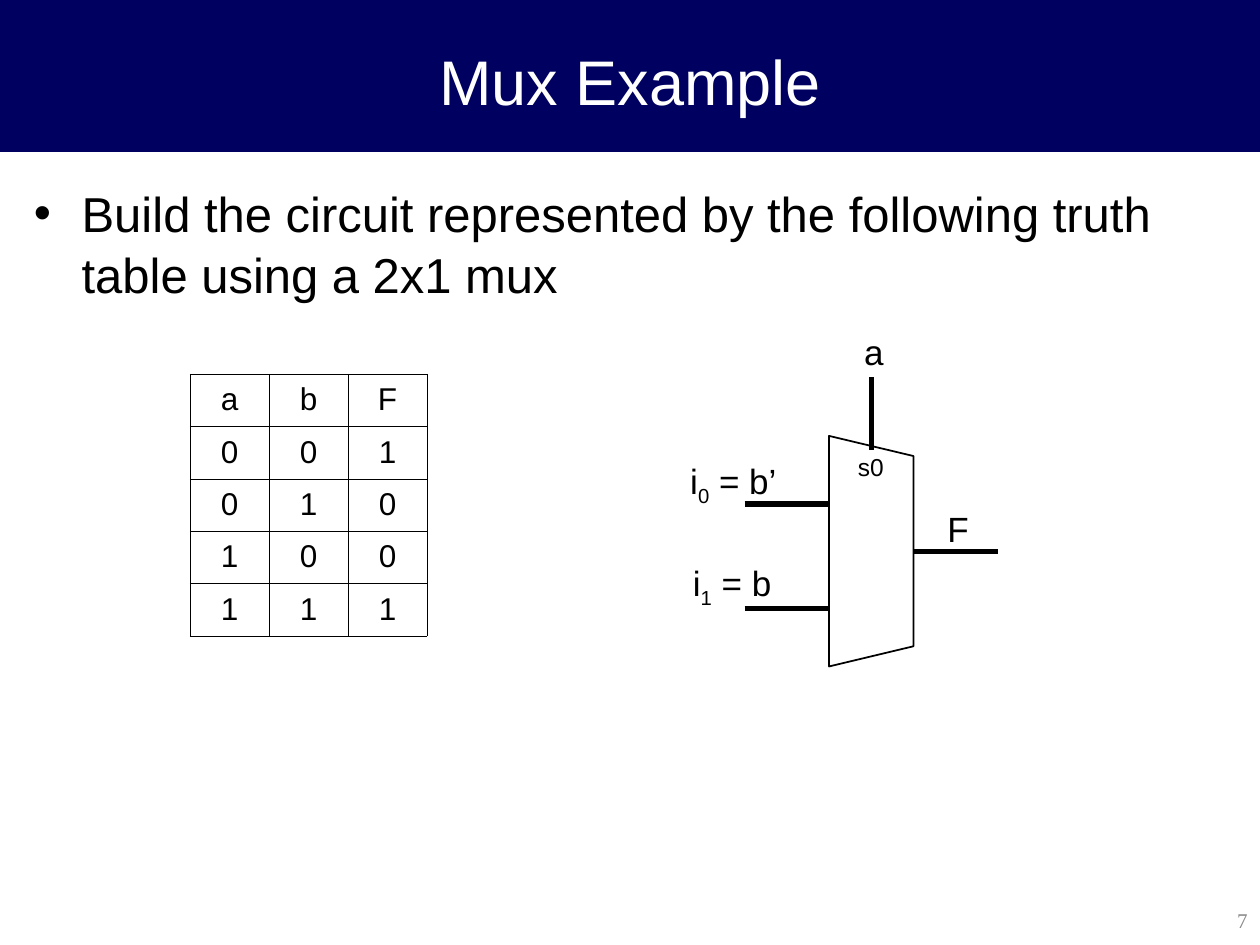
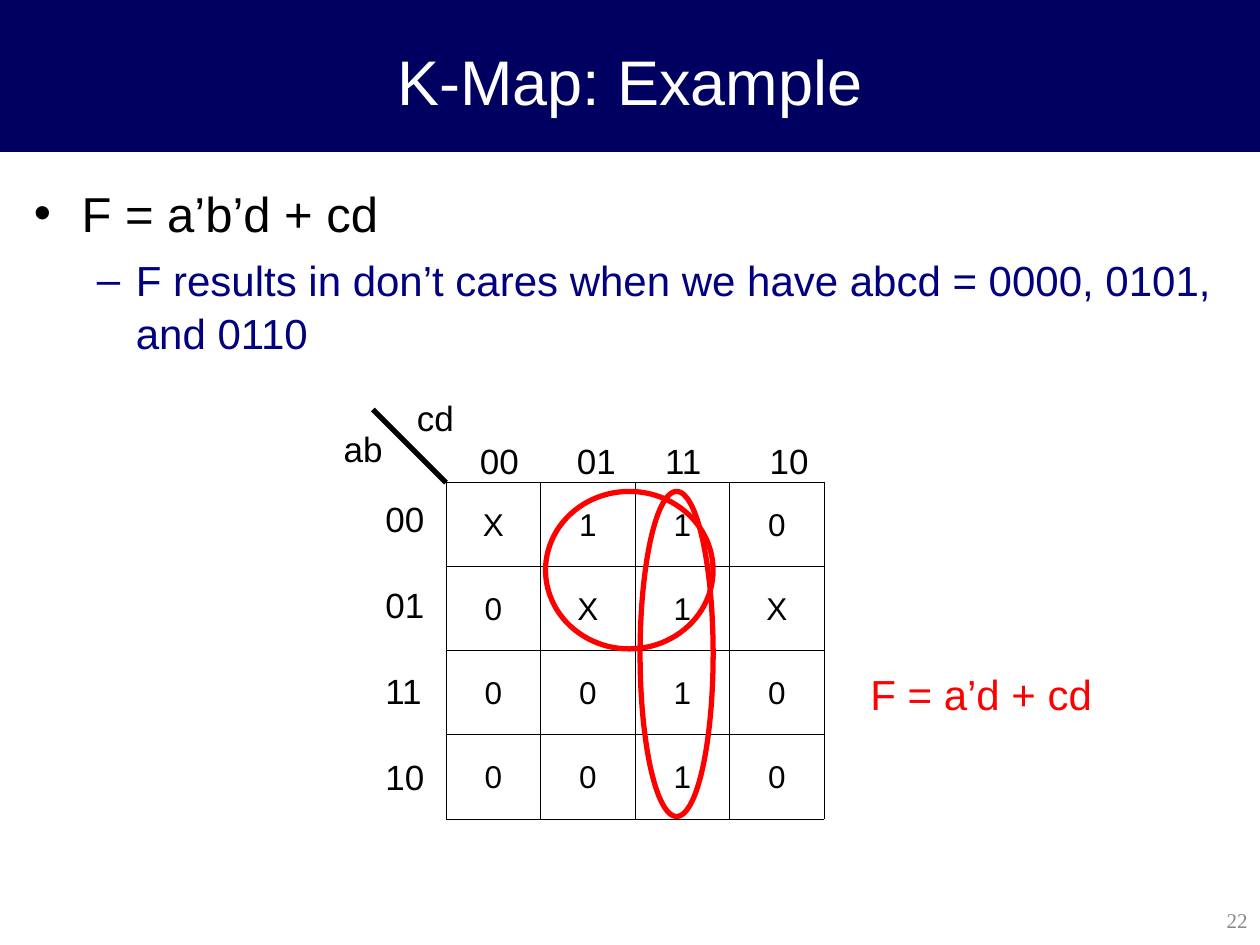
from lxml import etree
from pptx import Presentation
from pptx import util as u
from pptx.dml.color import RGBColor
from pptx.enum import shapes, text
from pptx.oxml import ns

Inches, Pt = u.Inches, u.Pt
NAVY = RGBColor(0x00, 0x00, 0x60)
BLUE = RGBColor(0x00, 0x00, 0x80)
BLACK = RGBColor(0x00, 0x00, 0x00)
WHITE = RGBColor(0xFF, 0xFF, 0xFF)
GREY = RGBColor(0x89, 0x89, 0x89)
RED = RGBColor(0xFF, 0x00, 0x00)
LEFT, CENTER, RIGHT = text.PP_ALIGN.LEFT, text.PP_ALIGN.CENTER, text.PP_ALIGN.RIGHT
MIDDLE, TOP = text.MSO_ANCHOR.MIDDLE, text.MSO_ANCHOR.TOP
LINE_SPACING = 1.05
BULLETS = [("•", 0.38, 0.38, 0, 28, BLACK), ("–", 0.81, 0.31, 6, 24, BLUE)]


def add_xml(parent, tag, **attributes):
    """Append a drawing element with its attributes."""
    return etree.SubElement(parent, ns.qn(tag), attributes)


def style(paragraph, size, color=BLACK, align=LEFT, font="Arial"):
    """Format a paragraph and its runs."""
    paragraph.alignment = align
    paragraph.line_spacing = LINE_SPACING
    for run in paragraph.runs:
        run.font.size = Pt(size)
        run.font.name = font
        run.font.color.rgb = color


def add_label(slide, box, words, size=20, color=BLACK, align=LEFT, font="Arial"):
    """Write a text box, one paragraph per line of words."""
    frame = slide.shapes.add_textbox(*map(Inches, box)).text_frame
    frame.word_wrap = True
    frame.text = words
    for paragraph in frame.paragraphs:
        style(paragraph, size, color, align, font)
    return frame


def add_line(slide, start, end):
    """Draw a thick black line."""
    wire = slide.shapes.add_connector(
        shapes.MSO_CONNECTOR.STRAIGHT, *map(Inches, start + end))
    wire.line.color.rgb = BLACK
    wire.line.width = Pt(3)
    add_xml(wire._element.spPr, "a:effectLst")


def add_frame(slide, title, number):
    """Draw the title band and the slide number."""
    band = slide.shapes.add_shape(
        shapes.MSO_SHAPE.RECTANGLE, 0, 0, Inches(10), Inches(1.2))
    band.shadow.inherit = False
    band.fill.solid()
    band.fill.fore_color.rgb = NAVY
    band.line.color.rgb = NAVY
    band.line.width = Pt(0.75)
    band.text_frame.margin_top = Inches(0.09)
    band.text_frame.vertical_anchor = MIDDLE
    band.text_frame.text = title
    style(band.text_frame.paragraphs[0], 36, WHITE, CENTER)
    footer = add_label(slide, (7.88, 7.1, 2.12, 0.4), str(number), 12, GREY,
                       RIGHT, "Times New Roman")
    footer.vertical_anchor = MIDDLE


def add_body(slide, *points):
    """Write the bulleted points, each one level deeper."""
    frame = add_label(slide, (0.17, 1.38, 9.66, 5.72), "\n".join(points))
    for level, (paragraph, bullet) in enumerate(zip(frame.paragraphs, BULLETS)):
        mark, margin, hang, before, size, color = bullet
        paragraph.level = level
        properties = paragraph._p.get_or_add_pPr()
        properties.set("marL", str(Inches(margin)))
        properties.set("indent", str(-Inches(hang)))
        add_xml(add_xml(properties, "a:buClr"), "a:srgbClr", val=str(color))
        add_xml(properties, "a:buFont", typeface="Arial")
        add_xml(properties, "a:buChar", char=mark)
        style(paragraph, size, color)
        paragraph.space_before = Pt(before)


def add_grid(slide, box, rows, anchor):
    """Build a white table with thin black borders."""
    left, top, width, height = map(Inches, box)
    table = slide.shapes.add_table(
        len(rows), len(rows[0]), left, top, width, height).table
    table.first_row = table.horz_banding = False
    for row, values in zip(table.rows, rows):
        for cell, value in zip(row.cells, values):
            cell.text = value
            style(cell.text_frame.paragraphs[0], 18, BLACK, CENTER)
            cell.vertical_anchor = anchor
            properties = cell._tc.get_or_add_tcPr()
            for side in "LRTB":
                border = add_xml(properties, f"a:ln{side}", w=str(Pt(0.45)))
                add_xml(add_xml(border, "a:solidFill"), "a:srgbClr", val=str(BLACK))
            cell.fill.solid()
            cell.fill.fore_color.rgb = WHITE


def add_input(slide, box, index, value):
    """Label a mux input with a subscripted index."""
    paragraph = add_label(slide, box, "i").paragraphs[0]
    for words in (index, f" = {value}"):
        paragraph.add_run().text = words
    style(paragraph, 20)
    paragraph.runs[1]._r.get_or_add_rPr().set("baseline", "-25000")


def add_mux(slide, box):
    """Draw the 2x1 mux with its wires and labels."""
    left, top, width, height = box
    right, bottom, slant, wire = left + width, top + height, 0.16, 0.67
    corners = [(left, top), (right, top + slant),
               (right, bottom - slant), (left, bottom)]
    points = [(Inches(x), Inches(y)) for x, y in corners]
    builder = slide.shapes.build_freeform(*points[0])
    builder.add_line_segments(points[1:], close=True)
    body = builder.convert_to_shape()
    body.shadow.inherit = False
    body.fill.solid()
    body.fill.fore_color.rgb = WHITE
    body.line.color.rgb = BLACK
    body.line.width = Pt(1)

    for drop in (0.54, 1.37):
        add_line(slide, (left - wire, top + drop), (left, top + drop))
    middle, select = top + height / 2, left + width / 2
    add_line(slide, (right, middle), (right + wire, middle))
    add_line(slide, (select, top + 0.11), (select, top - 0.47))

    add_input(slide, (left - 1.2, top + 0.12, 1.1, 0.82), "0", "b’")
    add_input(slide, (left - 1.18, top + 0.93, 0.92, 0.82), "1", "b")
    add_label(slide, (left + 0.18, top - 0.9, 0.42, 0.44), "a")
    add_label(slide, (right + 0.17, top + 0.5, 0.42, 0.44), "F")
    add_label(slide, (left + 0.13, top + 0.07, 0.47, 0.34), "s0", 14)


def add_kmap(slide, box, rows):
    """Draw the Karnaugh map with headings and circled groups."""
    left, top, width, height = box
    add_grid(slide, box, rows, MIDDLE)
    columns = add_label(slide, (left + 0.17, top - 0.41, 2.83, 0.44),
                        "00\t01\t11\t10").paragraphs[0]
    tabs = add_xml(columns._p.get_or_add_pPr(), "a:tabLst")
    for stop in (0.77, 1.47, 2.3):
        add_xml(tabs, "a:tab", pos=str(Inches(stop)), algn="l")
    row_names = add_label(slide, (left - 0.58, top + 0.05, 0.75, 2.44),
                          "00\n01\n11\n10")
    for paragraph in row_names.paragraphs[1:]:
        paragraph.space_before = Pt(24.1)

    add_line(slide, (left, top), (left - 0.58, top - 0.58))
    add_label(slide, (left - 0.91, top - 0.5, 0.67, 0.44), "ab")
    add_label(slide, (left - 0.33, top - 0.75, 0.67, 0.44), "cd")

    for shift, group_width, group_height in ((0.79, 1.33, 1.25), (1.54, 0.58, 2.58)):
        group = slide.shapes.add_shape(
            shapes.MSO_SHAPE.OVAL, Inches(left + shift), Inches(top + 0.07),
            Inches(group_width), Inches(group_height))
        group.shadow.inherit = False
        group.fill.background()
        group.line.color.rgb = RED
        group.line.width = Pt(3)
    add_label(slide, (left + width + 0.27, top + 1.41, 2.96, 0.5),
              "F = a’d + cd", 24, RED)


def mux_slide(slide):
    """Fill the mux example slide."""
    add_frame(slide, "Mux Example", 7)
    add_body(slide, "Build the circuit represented by the following truth "
                    "table using a 2x1 mux")
    add_grid(slide, (1.51, 2.97, 1.88, 2.03),
             ["abF", "001", "010", "100", "111"], TOP)
    add_mux(slide, (6.58, 3.46, 0.67, 1.83))


def kmap_slide(slide):
    """Fill the K-map example slide."""
    add_frame(slide, "K-Map: Example", 22)
    add_body(slide, "F = a’b’d + cd",
             "F results in don’t cares when we have abcd = 0000, 0101, and 0110")
    add_kmap(slide, (3.54, 3.83, 3, 2.67), ["X110", "0X1X", "0010", "0010"])


def main():
    """Build and save the presentation."""
    deck = Presentation()
    deck.slide_width, deck.slide_height = Inches(10), Inches(7.5)
    for fill_slide in (mux_slide, kmap_slide):
        fill_slide(deck.slides.add_slide(deck.slide_layouts[6]))
    deck.save("out.pptx")


if __name__ == "__main__":
    main()
